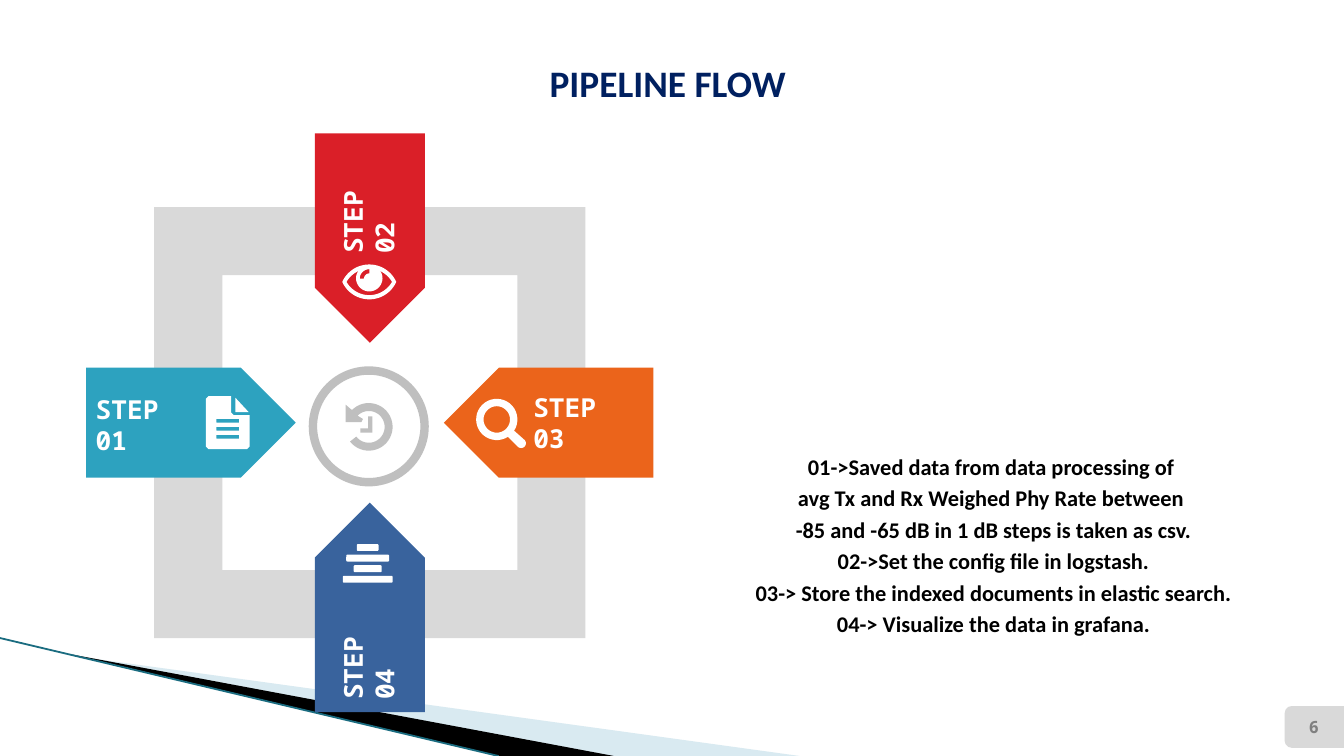
from dataclasses import dataclass
from math import asin, cos, degrees, radians, sin
from typing import NamedTuple

from lxml.etree import SubElement
from pptx import Presentation
from pptx.dml.color import RGBColor
from pptx.enum.shapes import MSO_CONNECTOR as Connector, MSO_SHAPE as Shape
from pptx.enum.text import MSO_ANCHOR as Anchor, MSO_AUTO_SIZE as AutoSize, PP_ALIGN as Align
from pptx.oxml.ns import qn
from pptx.util import Cm, Pt

Points = list[tuple[float, float]]


@dataclass(frozen=True)
class Theme:
    text_font: str = "Calibri"
    label_font: str = "Noto Sans Mono"
    title: str = "002060"
    black: str = "000000"
    white: str = "FFFFFF"
    frame: str = "D9D9D9"
    ring: str = "BFBFBF"
    number: str = "808080"
    band: str = "A0CBDC"
    edge: str = "1A6C80"
    red: str = "DA1F28"
    orange: str = "EB641B"
    teal: str = "2DA2BF"
    blue: str = "39639D"
    title_size: float = 20
    label_size: float = 14
    body_size: float = 12
    number_size: float = 9


class Box(NamedTuple):
    """Centre and size in centimetres."""
    x: float
    y: float
    width: float
    height: float

    def lengths(self) -> tuple:
        return (Cm(self.x - self.width / 2), Cm(self.y - self.height / 2),
                Cm(self.width), Cm(self.height))


class Step(NamedTuple):
    label: str
    color: str
    across: float  # arrow offset from the centre of the diagram
    down: float
    rotation: int
    label_x: float
    label_y: float
    label_rotation: int


THEME = Theme()
CENTER_X, CENTER_Y = 6.99, 7.99
STEPS = [
    Step("STEP 02", THEME.red, 0, -3.49, 90, 6.96, 3.81, 270),
    Step("STEP 04", THEME.blue, 0, 3.49, 270, 6.96, 12.24, 270),
    Step("STEP 01", THEME.teal, -3.38, 0, 0, 2.8, 8.02, 0),
    Step("STEP 03", THEME.orange, 3.38, 0, 180, 11.07, 7.99, 0),
]
BODY_LINES = [
    "01->Saved data from data processing of ",
    "avg Tx and Rx Weighed Phy Rate between ",
    "-85 and -65 dB in 1 dB steps is taken as csv.",
    "02->Set the config file in logstash.",
    "03-> Store the indexed documents in elastic search.",
    "04-> Visualize the data in grafana.",
]


def arc(x: float, y: float, radius: float, start: float, end: float) -> Points:
    """Points along an arc; angles run clockwise from the right."""
    count = 36
    angles = [radians(start + (end - start) * i / count) for i in range(count + 1)]
    return [(x + radius * cos(angle), y + radius * sin(angle)) for angle in angles]


def lens(x: float, y: float, half_width: float, half_height: float) -> Points:
    radius = (half_width ** 2 + half_height ** 2) / (2 * half_height)
    half = degrees(asin(half_width / radius))
    shift = radius - half_height
    return (arc(x, y + shift, radius, 270 - half, 270 + half)
            + arc(x, y - shift, radius, 90 - half, 90 + half))


def rectangle(left: float, top: float, width: float, height: float) -> Points:
    right, bottom = left + width, top + height
    return [(left, top), (right, top), (right, bottom), (left, bottom)]


def paint(shape, color: str) -> None:
    shape.shadow.inherit = False
    shape.fill.solid()
    shape.fill.fore_color.rgb = RGBColor.from_string(color)
    shape.line.fill.background()


def add_outline(slide, color: str, *contours: Points):
    # The builder keeps whole units only, so points are given in EMU
    first, *others = [[(Cm(x), Cm(y)) for x, y in contour] for contour in contours]
    builder = slide.shapes.build_freeform(*first[0])
    builder.add_line_segments(first[1:], close=True)
    for contour in others:
        builder.move_to(*contour[0])
        builder.add_line_segments(contour[1:], close=True)
    shape = builder.convert_to_shape()
    paint(shape, color)
    return shape


def add_preset(slide, kind, box: Box, color: str, rotation: float = 0):
    shape = slide.shapes.add_shape(kind, *box.lengths())
    paint(shape, color)
    shape.rotation = rotation
    return shape


def write(shape, lines: list[str], size: float, font: str, color: str,
          align=Align.CENTER, anchor=Anchor.MIDDLE, wrap: bool = True) -> None:
    frame = shape.text_frame
    frame.auto_size = AutoSize.NONE
    frame.word_wrap = wrap
    frame.vertical_anchor = anchor
    frame.margin_left = frame.margin_right = frame.margin_top = frame.margin_bottom = 0
    for index, line in enumerate(lines):
        paragraph = frame.paragraphs[0] if index == 0 else frame.add_paragraph()
        properties = paragraph._p.get_or_add_pPr()
        properties.set("marL", "0")
        properties.set("indent", "0")
        SubElement(properties, qn("a:buNone"))
        paragraph.alignment = align
        paragraph.space_before = Pt(size * 0.2 if index else 0)
        run = paragraph.add_run()
        run.text = line
        run.font.size, run.font.name, run.font.bold = Pt(size), font, True
        run.font.color.rgb = RGBColor.from_string(color)


def place(shape, box: Box) -> None:
    shape.left, shape.top, shape.width, shape.height = box.lengths()


def add_backdrop(slide) -> None:
    band = add_outline(slide, THEME.band, [(1.4, 12.4), (15.11, 14.29), (11.58, 14.29)])
    color = band.fill._xPr.find(qn("a:solidFill"))[0]
    SubElement(color, qn("a:alpha")).set("val", "40000")
    add_outline(slide, THEME.black, [(1.35, 12.37), (11.6, 14.29), (9.45, 14.29)])
    edge = slide.shapes.add_connector(Connector.STRAIGHT, 0, Cm(12.06), Cm(9.42), Cm(14.29))
    edge.line.color.rgb = RGBColor.from_string(THEME.edge)
    edge.line.width = Pt(0.95)
    SubElement(edge._element.spPr, qn("a:effectLst"))


def add_page_number(slide) -> None:
    add_preset(slide, Shape.ROUND_2_SAME_RECTANGLE, Box(24.84, 13.74, 0.79, 1.12), THEME.frame, 270)
    number = slide.shapes.add_textbox(*Box(24.83, 13.74, 1.07, 0.76).lengths())
    write(number, ["6"], THEME.number_size, THEME.label_font, THEME.number)


def add_step(slide, step: Step) -> None:
    arrow = Box(CENTER_X + step.across, CENTER_Y + step.down, 3.96, 2.08)
    add_preset(slide, Shape.PENTAGON, arrow, step.color, step.rotation)
    label = slide.shapes.add_textbox(*Box(step.label_x, step.label_y, 1.98, 0.61).lengths())
    label.rotation = step.label_rotation
    write(label, [step.label], THEME.label_size, THEME.label_font, THEME.white, Align.LEFT)


def add_icons(slide) -> None:
    # History arrow inside the ring
    ring = slide.shapes.add_shape(Shape.OVAL, *Box(6.97, 8.06, 2.11, 2.11).lengths())
    ring.shadow.inherit = False
    ring.fill.background()
    ring.line.color.rgb = RGBColor.from_string(THEME.ring)
    ring.line.width = Pt(4.5)
    turn = arc(6.97, 8.07, 0.45, 225, 502) + arc(6.97, 8.07, 0.3, 502, 225)
    arrowhead = [(6.86, 7.92), (6.83, 7.98), (6.53, 7.98), (6.53, 7.65)]
    hands = [(6.96, 7.87), (7.04, 7.87), (7.04, 8.18), (6.81, 8.18), (6.81, 8.1), (6.96, 8.1)]
    add_outline(slide, THEME.ring, turn + arrowhead, hands)
    # Magnifier
    glass = arc(9.39, 7.93, 0.39, 57, 393) + arc(9.85, 8.38, 0.09, -45, 135)
    add_outline(slide, THEME.white, glass, arc(9.39, 7.93, 0.25, 0, 360))
    # Document
    page = [(3.89, 7.54), (3.94, 7.49), (4.37, 7.49), (4.37, 7.8), (4.42, 7.85),
            (4.72, 7.85), (4.72, 8.44), (4.67, 8.49), (3.94, 8.49), (3.89, 8.44)]
    fold = [(4.45, 7.52), (4.7, 7.79), (4.45, 7.79)]
    rows = [rectangle(4.09, 7.92 + 0.15 * i, 0.43, 0.07) for i in range(3)]
    add_outline(slide, THEME.white, page, fold, *rows)
    # Eye
    add_outline(slide, THEME.white, lens(6.98, 5.33, 0.51, 0.33), lens(6.98, 5.33, 0.43, 0.25))
    glint = arc(6.98, 5.27, 0.18, 180, 270) + arc(6.98, 5.27, 0.1, 270, 180)
    add_outline(slide, THEME.white, arc(6.98, 5.26, 0.25, 0, 360), glint)
    # Stacked bars
    for index, width in enumerate([0.41, 0.81, 0.53, 0.94]):
        bar = Box(6.95, 10.35 + 0.2 * index, width, 0.13)
        add_preset(slide, Shape.ROUNDED_RECTANGLE, bar, THEME.white)


def main() -> None:
    presentation = Presentation()
    presentation.slide_width, presentation.slide_height = Cm(25.4), Cm(14.29)
    slide = presentation.slides.add_slide(presentation.slide_layouts[1])
    add_backdrop(slide)
    # Title and list
    title, body = slide.placeholders
    place(title, Box(12.7, 1.56, 15.67, 0.99))
    write(title, ["PIPELINE FLOW "], THEME.title_size, THEME.text_font, THEME.title, wrap=False)
    place(body, Box(18.78, 10.17, 11.96, 3.74))
    write(body, BODY_LINES, THEME.body_size, THEME.text_font, THEME.black, anchor=Anchor.BOTTOM)
    add_page_number(slide)
    # Diagram
    frame = add_preset(slide, Shape.FRAME, Box(CENTER_X, CENTER_Y, 8.15, 8.15), THEME.frame)
    frame.adjustments[0] = 0.158
    for step in STEPS:
        add_step(slide, step)
    add_icons(slide)
    presentation.save("out.pptx")


if __name__ == "__main__":
    main()
